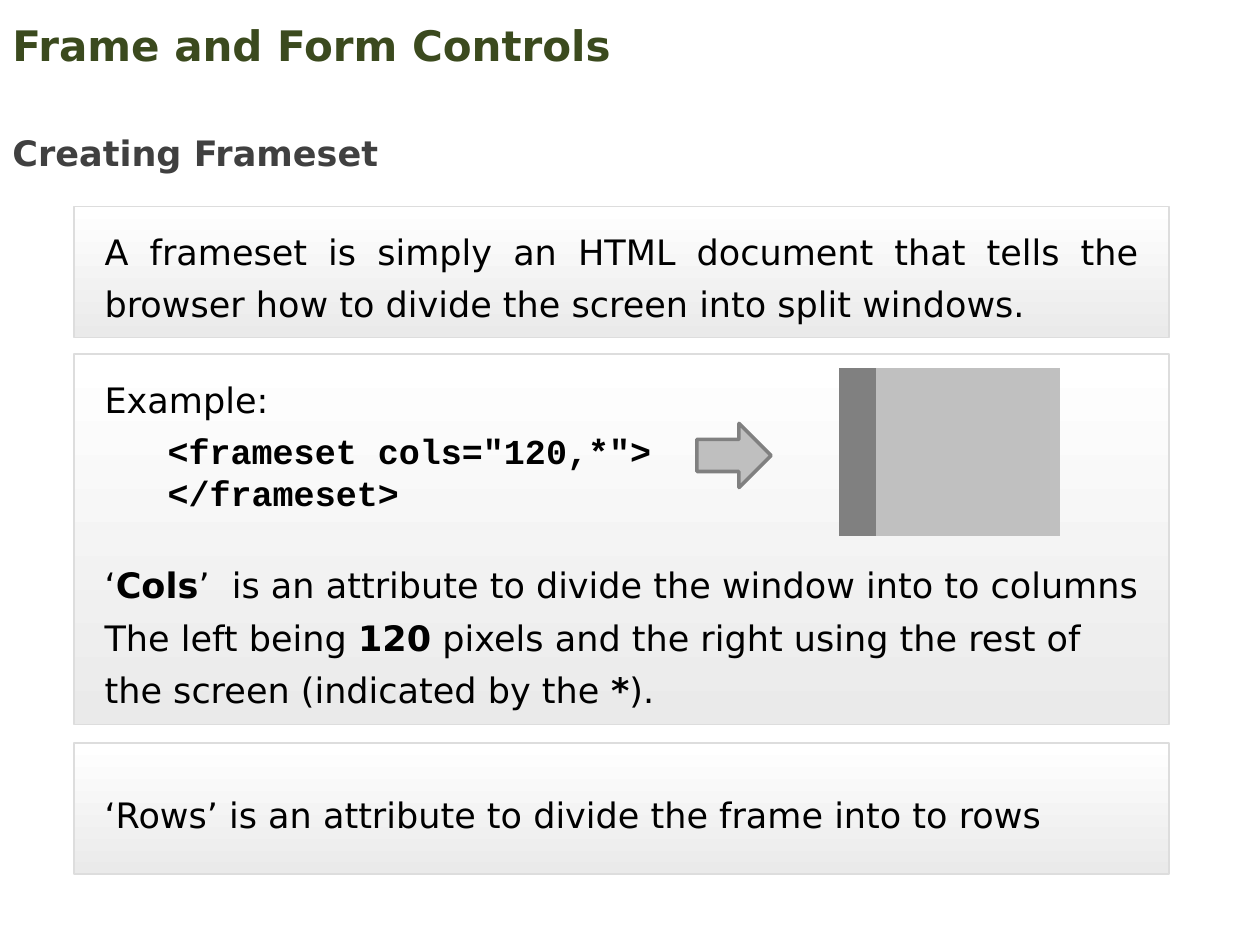
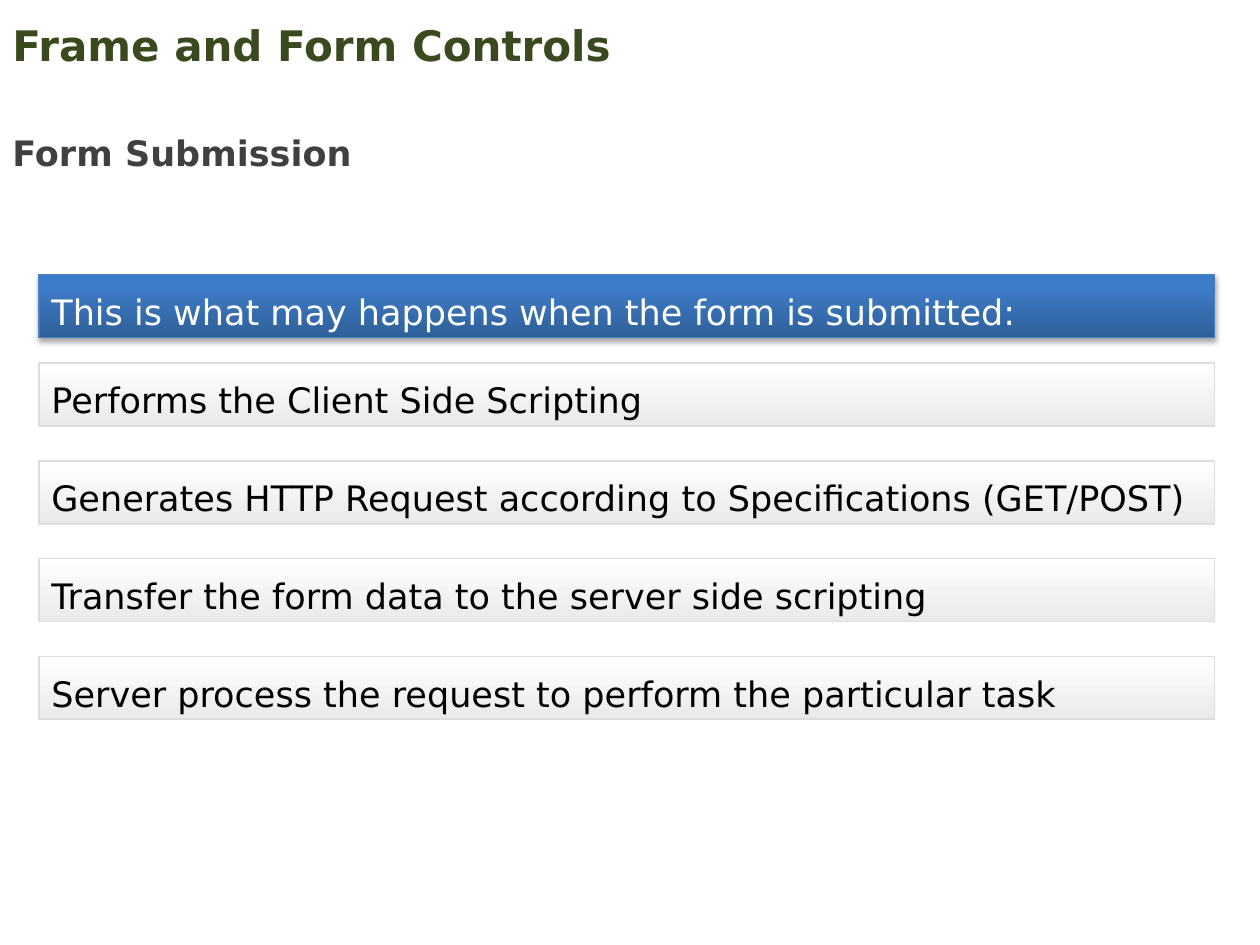
from dataclasses import dataclass

from lxml import etree
from pptx import Presentation
from pptx.dml.color import RGBColor
from pptx.enum.shapes import MSO_SHAPE
from pptx.enum.text import MSO_ANCHOR, PP_ALIGN
from pptx.oxml.ns import qn
from pptx.util import Inches, Pt

RECT, ARROW = MSO_SHAPE.RECTANGLE, MSO_SHAPE.RIGHT_ARROW
TOP, MIDDLE = MSO_ANCHOR.TOP, MSO_ANCHOR.MIDDLE
LEFT, JUSTIFY = PP_ALIGN.LEFT, PP_ALIGN.JUSTIFY
NO_STYLE_NO_GRID = "{2D5ABB26-0587-4C30-8999-92F81FD0307C}"


@dataclass(frozen=True)
class Theme:
    font: str = "DejaVu Sans"
    code_font: str = "Courier New"
    title_size: int = 24
    body_size: int = 20
    line_pitch: int = 30
    code_pitch: int = 24
    title: str = "3B4A1E"
    subtitle: str = "404040"
    text: str = "000000"
    light_text: str = "FFFFFF"
    panel_line: str = "DDDDDD"
    banner_line: str = "4B7EBC"
    light_gray: str = "BFBFBF"
    pane_gray: str = "C0C0C0"
    dark_gray: str = "808080"
    # Gradients: (percent, colour) stops
    panel: tuple = ((0, "FFFFFF"), (100, "EAEAEA"))
    banner: tuple = ((0, "3A7CCB"), (20, "3D7CC7"), (100, "2F5F99"))


def rgb(value):
    return RGBColor.from_string(value)


class Deck:
    def __init__(self, theme):
        self.theme = theme
        self.prs = Presentation()
        self.prs.slide_width, self.prs.slide_height = Inches(10), Inches(7.5)
        self.s = None

    def new_slide(self, title, subtitle):
        """Start a blank slide with the shared heading."""
        t = self.theme
        self.s = self.prs.slides.add_slide(self.prs.slide_layouts[6])
        self.heading(0.14, 9, 0.43, title, t.title_size, t.title, MIDDLE)
        p = self.heading(0.83, 3.85, 0.54, subtitle, t.body_size, t.subtitle, TOP)
        p.line_spacing = 1.5

    def style(self, p, color, size=None, font=None, bold=None):
        p.font.name = font or self.theme.font
        p.font.size = Pt(size or self.theme.body_size)
        p.font.color.rgb = rgb(color)
        p.font.bold = bold

    def heading(self, y, w, h, text, size, color, anchor):
        tf = self.s.shapes.add_textbox(0, Inches(y), Inches(w), Inches(h)).text_frame
        tf.word_wrap, tf.vertical_anchor = True, anchor
        p = tf.paragraphs[0]
        p.text = text
        self.style(p, color, size, bold=True)
        return p

    def shape(self, kind, x, y, w, h, line, line_width):
        sp = self.s.shapes.add_shape(kind, Inches(x), Inches(y), Inches(w), Inches(h))
        sp.shadow.inherit = False
        sp.line.color.rgb = rgb(line)
        sp.line.width = Pt(line_width)
        return sp

    def gradient(self, sp, stops):
        """Fill a shape from top to bottom."""
        sp.fill.gradient()
        sp.fill.gradient_angle = 270
        gs_list = sp._element.spPr.find(f".//{qn('a:gsLst')}")
        for gs in list(gs_list):
            gs_list.remove(gs)
        for percent, color in stops:
            gs = etree.SubElement(gs_list, qn("a:gs"), pos=str(percent * 1000))
            etree.SubElement(gs, qn("a:srgbClr"), val=color)

    def panel(self, x, y, w, h, text="", inset=(0.1, 0)):
        """Draw a pale gradient box; return its text frame."""
        t = self.theme
        sp = self.shape(RECT, x, y, w, h, t.panel_line, 1)
        self.gradient(sp, t.panel)
        return self.panel_text(sp, text, t.text, inset)

    def banner(self, x, y, w, h, text):
        """Draw a blue gradient box with a soft shadow."""
        t = self.theme
        sp = self.shape(RECT, x, y, w, h, t.banner_line, 0.75)
        self.gradient(sp, t.banner)
        effects = sp._element.spPr.find(qn("a:effectLst"))
        shadow = etree.SubElement(effects, qn("a:outerShdw"), blurRad=str(Pt(3.1)),
                                  dist=str(Pt(1.8)), dir="5400000", rotWithShape="0")
        color = etree.SubElement(shadow, qn("a:srgbClr"), val="000000")
        etree.SubElement(color, qn("a:alpha"), val="35000")
        self.panel_text(sp, text, t.light_text, (0.1, 0))

    def panel_text(self, sp, text, color, inset):
        tf = sp.text_frame
        tf.word_wrap, tf.vertical_anchor = True, MIDDLE
        tf.margin_left, tf.margin_right = (Inches(m) for m in inset)
        tf.margin_top = tf.margin_bottom = 0
        p = tf.paragraphs[0]
        p.text = text
        p.alignment = JUSTIFY
        p.line_spacing = Pt(self.theme.line_pitch)
        self.style(p, color)
        return tf

    def code(self, tf, lines):
        for line in lines:
            p = tf.add_paragraph()
            p.text = line
            p.alignment = LEFT
            p.line_spacing = Pt(self.theme.code_pitch)
            p._p.get_or_add_pPr().set("marL", str(Inches(0.5)))
            self.style(p, self.theme.text, font=self.theme.code_font, bold=True)

    def mixed(self, tf, parts, before=0):
        """Add a paragraph whose every second part is bold."""
        p = tf.add_paragraph()
        p.alignment = LEFT
        p.line_spacing = Pt(self.theme.line_pitch)
        p.space_before = Pt(before)
        self.style(p, self.theme.text)
        for i, part in enumerate(parts):
            r = p.add_run()
            r.text = part
            r.font.bold = i % 2 == 1

    def arrow(self, x, y, w, h):
        sp = self.shape(ARROW, x, y, w, h, self.theme.dark_gray, 2)
        sp.fill.solid()
        sp.fill.fore_color.rgb = rgb(self.theme.light_gray)

    def panes(self, x, y, h, columns):
        """Draw a one-row table from (width, colour) columns."""
        total = sum(width for width, _ in columns)
        table = self.s.shapes.add_table(1, len(columns), Inches(x), Inches(y),
                                        Inches(total), Inches(h)).table
        table.first_row = table.horz_banding = False
        table._tbl.tblPr.find(qn("a:tableStyleId")).text = NO_STYLE_NO_GRID
        for i, (width, color) in enumerate(columns):
            table.columns[i].width = Inches(width)
            fill = table.cell(0, i).fill
            fill.solid()
            fill.fore_color.rgb = rgb(color)


def frameset_slide(deck):
    deck.new_slide("Frame and Form Controls", "Creating Frameset")
    x, w, inset = 0.59, 8.69, (0.24, 0.24)

    # Definition
    deck.panel(x, 1.64, w, 1.04, "A frameset is simply an HTML document that tells "
               "the browser how to divide the screen into split windows.", inset)

    # Example with code and explanation
    tf = deck.panel(x, 2.81, w, 2.94, "Example: ", inset)
    tf.paragraphs[0].space_after = Pt(5)
    deck.code(tf, ['<frameset cols="120,*">', "</frameset>"])
    deck.mixed(tf, ["‘", "Cols", "’  is an attribute to divide the window into to columns"],
               before=23)
    deck.mixed(tf, ["The left being ", "120", " pixels and the right using the rest of "
                    "the screen (indicated by the ", "*", ")."])

    # Resulting window
    deck.arrow(5.53, 3.36, 0.59, 0.51)
    deck.panes(6.66, 2.92, 1.33, [(0.29, deck.theme.dark_gray), (1.46, deck.theme.pane_gray)])

    # Rows
    deck.panel(x, 5.9, w, 1.04,
               "‘Rows’ is an attribute to divide the frame into to rows", inset)


def submission_slide(deck):
    deck.new_slide("Frame and Form Controls", "Form Submission")
    x, w, h = 0.31, 9.33, 0.5
    deck.banner(x, 2.18, w, h, "This is what may happens when the form is submitted:")

    # Steps, evenly spaced
    steps = ["Performs the Client Side Scripting",
             "Generates HTTP Request according to Specifications (GET/POST)",
             "Transfer the form data to the server side scripting",
             "Server process the request to perform the particular task"]
    first, last = 2.88, 5.21
    pitch = (last - first) / (len(steps) - 1)
    for i, step in enumerate(steps):
        deck.panel(x, first + i * pitch, w, h, step)


def main():
    deck = Deck(Theme())
    frameset_slide(deck)
    submission_slide(deck)
    deck.prs.save("out.pptx")


if __name__ == "__main__":
    main()
